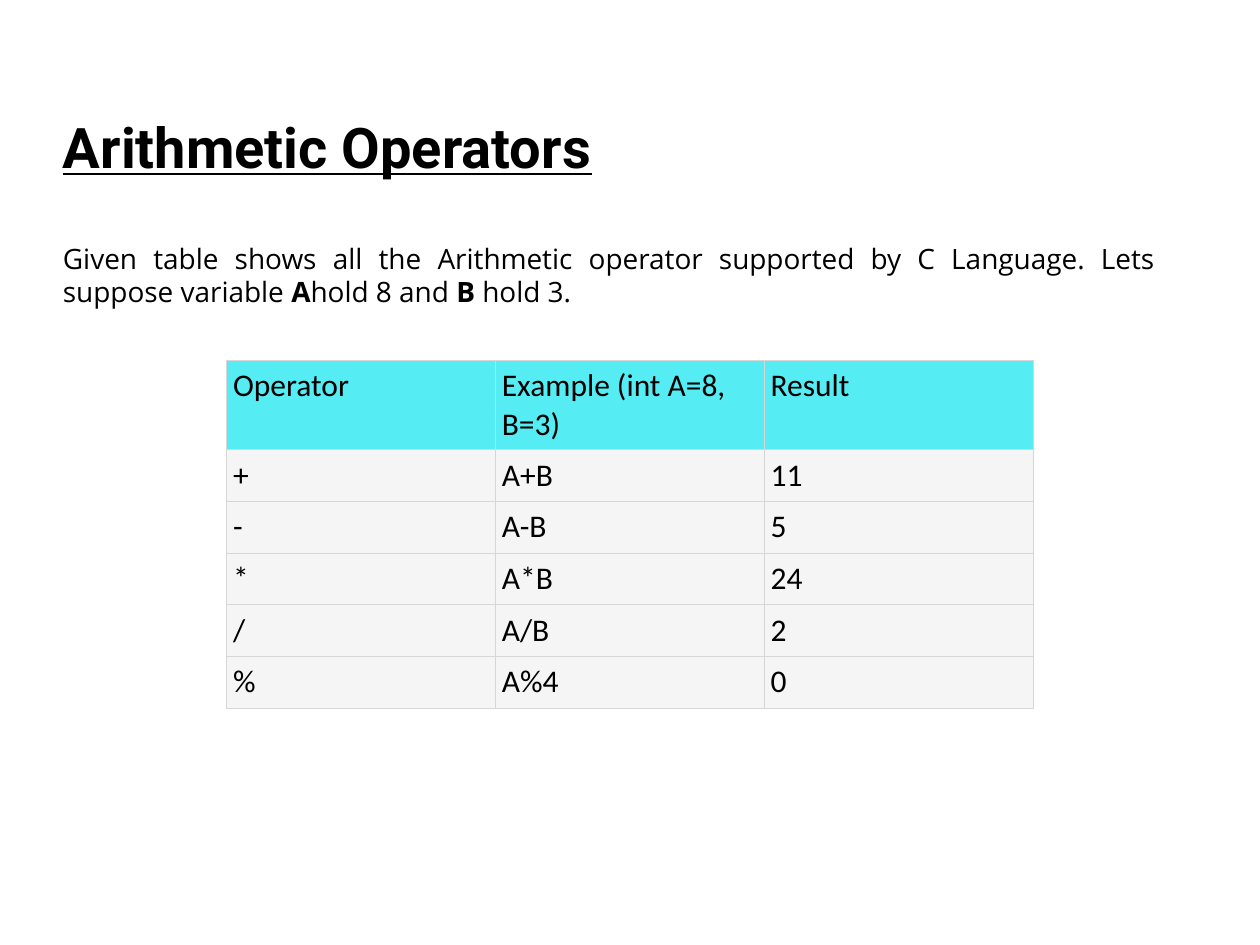
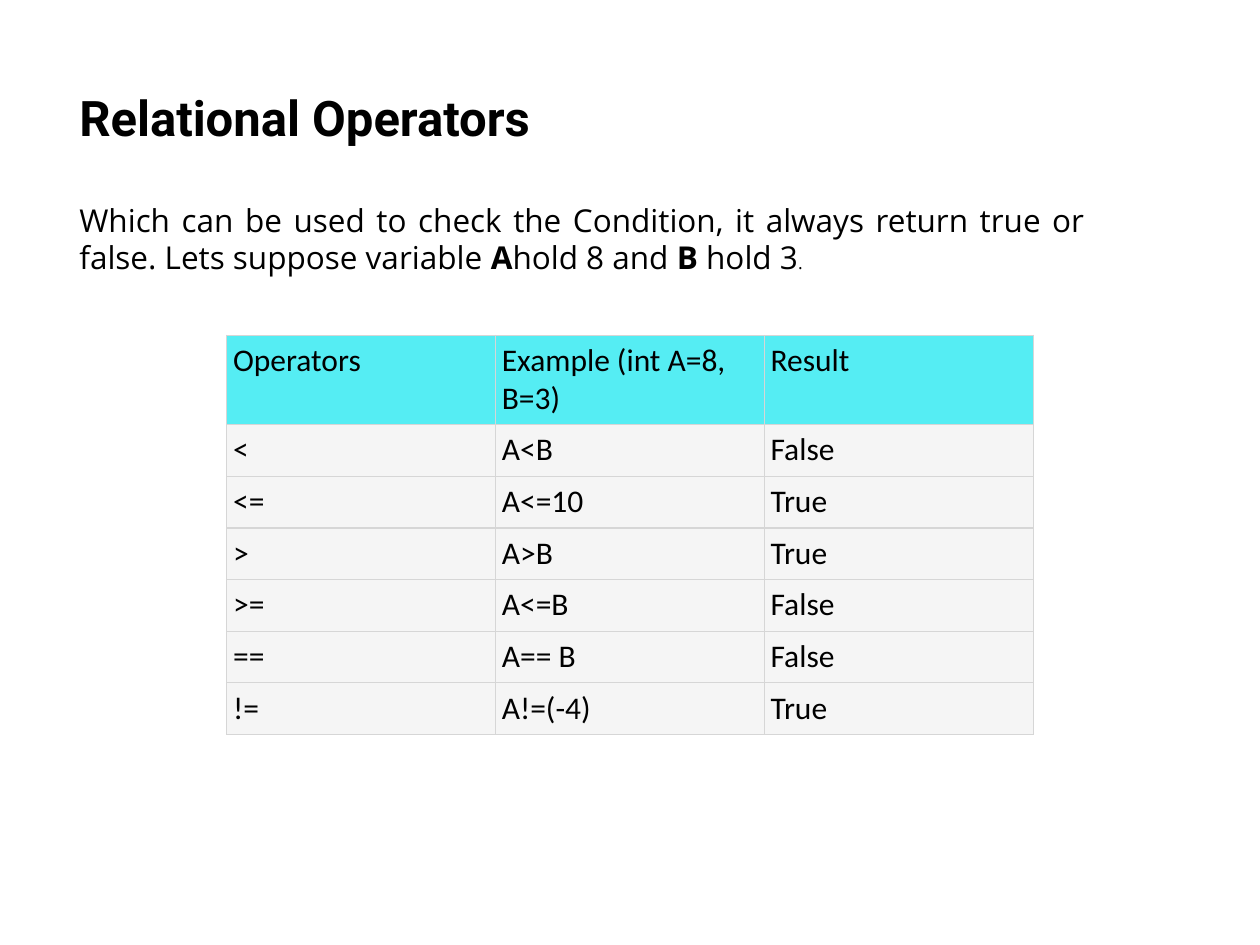
from dataclasses import dataclass

from lxml import etree
from pptx import Presentation
from pptx import util as u
from pptx.dml.color import RGBColor
from pptx.enum import shapes, text
from pptx.oxml.ns import qn


@dataclass(frozen=True)
class Theme:
    ink: RGBColor = RGBColor(0x00, 0x00, 0x00)
    paper: RGBColor = RGBColor(0xFF, 0xFF, 0xFF)
    header: RGBColor = RGBColor(0x55, 0xED, 0xF3)
    body: RGBColor = RGBColor(0xF5, 0xF5, 0xF5)
    border: str = "D6D6D6"
    border_pt: float = 0.75
    title_font: str = "Roboto"
    intro_font: str = "Open Sans"
    table_font: str = "Calibri"
    table_pt: int = 18
    title_gap: float = 1.1  # space under the title, in title sizes


T = Theme()
TABLE_LEFT, TABLE_WIDTH = 1.8, 6.4
HEADER_H, ROW_H, CELL_PAD = 0.71, 0.41, 0.05
VALUES = [("A", True), ("hold 8 and ", False), ("B", True)]


def style(font, name, size, bold=False):
    font.name, font.size, font.bold = name, u.Pt(size), bold
    font.color.rgb = T.ink


def add_heading(s, box, title, title_pt, underline, intro, intro_pt):
    """Title and justified introduction, centred vertically in the box."""
    sp = s.shapes.add_shape(shapes.MSO_SHAPE.RECTANGLE, *map(u.Inches, box))
    sp.shadow.inherit = False
    sp.fill.solid()
    sp.fill.fore_color.rgb = T.paper
    sp.line.fill.background()
    tf = sp.text_frame
    tf.word_wrap = True
    tf.vertical_anchor = text.MSO_ANCHOR.MIDDLE
    tf.margin_left = tf.margin_right = tf.margin_top = tf.margin_bottom = 0

    # Title
    p = tf.paragraphs[0]
    p.alignment = text.PP_ALIGN.JUSTIFY
    p.space_after = u.Pt(round(title_pt * T.title_gap, 1))
    p.text = title
    style(p.font, T.title_font, title_pt, True)
    p.font.underline = underline

    # Introduction: (words, bold) with an optional size of its own
    p = tf.add_paragraph()
    p.alignment = text.PP_ALIGN.JUSTIFY
    for words, bold, *size in intro:
        r = p.add_run()
        r.text = words
        style(r.font, T.intro_font, size[0] if size else intro_pt, bold)


def set_borders(cell):
    pr = cell._tc.get_or_add_tcPr()
    for i, side in enumerate(("lnL", "lnR", "lnT", "lnB")):
        ln = etree.Element(qn(f"a:{side}"), w=str(u.Pt(T.border_pt)))
        fill = etree.SubElement(ln, qn("a:solidFill"))
        etree.SubElement(fill, qn("a:srgbClr"), val=T.border)
        pr.insert(i, ln)


def add_operator_table(s, top, rows):
    """Three equal columns under a coloured header row."""
    height = HEADER_H + ROW_H * (len(rows) - 1)
    box = (TABLE_LEFT, top, TABLE_WIDTH, height)
    table = s.shapes.add_table(len(rows), len(rows[0]), *map(u.Inches, box)).table
    for i, row in enumerate(rows):
        table.rows[i].height = u.Inches(ROW_H if i else HEADER_H)
        for j, words in enumerate(row):
            cell = table.cell(i, j)
            cell.margin_left = cell.margin_right = u.Inches(CELL_PAD)
            cell.margin_top = cell.margin_bottom = u.Inches(CELL_PAD)
            cell.fill.solid()
            cell.fill.fore_color.rgb = T.body if i else T.header
            set_borders(cell)
            cell.text = words
            style(cell.text_frame.paragraphs[0].font, T.table_font, T.table_pt)


def add_operator_slide(prs, heading, table_top, rows):
    s = prs.slides.add_slide(prs.slide_layouts[6])
    add_operator_table(s, table_top, rows)
    add_heading(s, **heading)


def main():
    prs = Presentation()
    prs.slide_width, prs.slide_height = u.Inches(10), u.Inches(7.5)

    # Arithmetic operators
    add_operator_slide(
        prs,
        dict(box=(0.5, 0.86, 8.67, 1.62), title="Arithmetic Operators",
             title_pt=32, underline=True, intro_pt=16,
             intro=[("Given table shows all the Arithmetic operator supported by "
                     "C Language. Lets suppose variable ", False),
                    *VALUES, (" hold 3.", False)]),
        2.86,
        [("Operator", "Example (int A=8, B=3)", "Result"),
         ("+", "A+B", "11"),
         ("-", "A-B", "5"),
         ("*", "A*B", "24"),
         ("/", "A/B", "2"),
         ("%", "A%4", "0")])

    # Relational operators
    add_operator_slide(
        prs,
        dict(box=(0.63, 0.67, 7.98, 1.55), title="Relational Operators",
             title_pt=28, underline=False, intro_pt=18,
             intro=[("Which can be used to check the Condition, it always return "
                     "true or false. Lets suppose variable ", False),
                    *VALUES, (" hold 3", False), (".", False, 10)]),
        2.66,
        [("Operators", "Example (int A=8, B=3)", "Result"),
         ("<", "A<B", "False"),
         ("<=", "A<=10", "True"),
         (">", "A>B", "True"),
         (">=", "A<=B", "False"),
         ("==", "A== B", "False"),
         ("!=", "A!=(-4)", "True")])

    prs.save("out.pptx")


if __name__ == "__main__":
    main()
